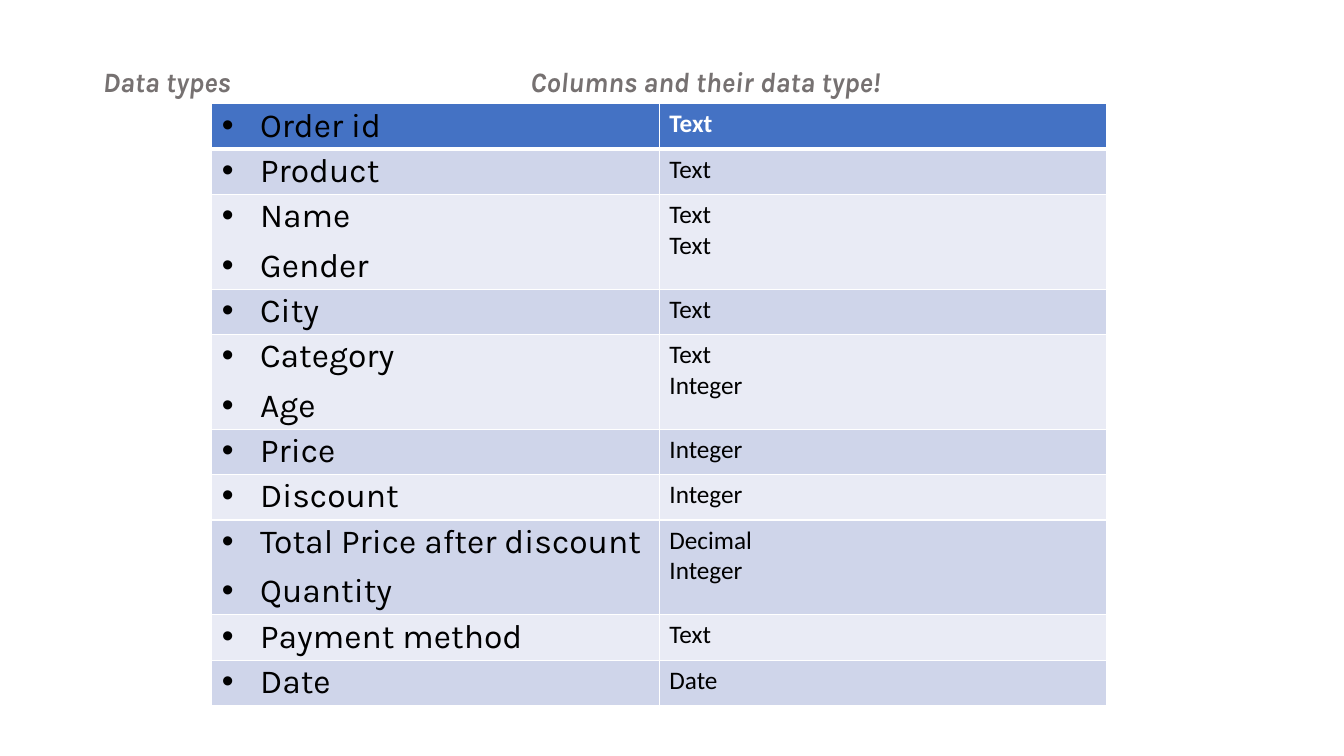
from pptx import Presentation
from pptx.dml.color import RGBColor
from pptx.enum.text import MSO_ANCHOR, MSO_AUTO_SIZE, PP_ALIGN
from pptx.oxml.ns import qn
from pptx.util import Inches, Pt
from lxml.etree import SubElement

# Content: column names and their data types, one tuple per table row
HEADINGS = ("Data types", "Columns and their data type!")
ROWS = [
    (["Order id"], ["Text"]),
    (["Product"], ["Text"]),
    (["Name", "Gender"], ["Text", "Text"]),
    (["City"], ["Text"]),
    (["Category", "Age"], ["Text", "Integer"]),
    (["Price"], ["Integer"]),
    (["Discount"], ["Integer"]),
    (["Total Price after discount", "Quantity"], ["Decimal", "Integer"]),
    (["Payment method"], ["Text"]),
    (["Date"], ["Date"]),
]

# Formats
COLORS = {"heading": "767171", "header": "4472C4", "odd": "CFD5EA",
          "even": "E9EBF5", "white": "FFFFFF", "black": "000000"}
HEADING_FONT = {"name": "Karla", "size": Pt(20), "bold": True, "italic": True}
NAME_FONT = {"name": "Karla", "size": Pt(24), "bold": False}
TYPE_FONT = {"name": "Calibri", "size": Pt(18), "bold": False}
BULLET_SPACING = {"line_spacing": 0.9, "space_before": Pt(10)}
ROW_HEIGHTS = {1: 0.45, 2: 0.94}  # by number of lines
COLUMN_WIDTH = 4.44
INDENT = Inches(0.38)


def set_attributes(target, values):
    for name, value in values.items():
        setattr(target, name, value)


def set_font(font, values, color):
    set_attributes(font, values)
    font.color.rgb = RGBColor.from_string(COLORS[color])


def add_bullet(paragraph):
    set_attributes(paragraph, BULLET_SPACING)
    properties = paragraph._p.get_or_add_pPr()
    properties.set("marL", str(INDENT))
    properties.set("indent", str(-INDENT))
    SubElement(properties, qn("a:buFont"), typeface="Arial")
    SubElement(properties, qn("a:buChar"), char="•")


def add_borders(cell, bottom, top):
    properties = cell._tc.get_or_add_tcPr()
    for side, width in (("L", 1), ("R", 1), ("T", top), ("B", bottom)):
        line = SubElement(properties, qn(f"a:ln{side}"), w=str(Pt(width)))
        fill = SubElement(line, qn("a:solidFill"))
        SubElement(fill, qn("a:srgbClr"), val=COLORS["white"])


def fill_cell(cell, lines, font, color, bulleted):
    frame = cell.text_frame
    for index, line in enumerate(lines):
        paragraph = frame.add_paragraph() if index else frame.paragraphs[0]
        run = paragraph.add_run()
        run.text = line
        set_font(run.font, font, color)
        if bulleted:
            add_bullet(paragraph)


presentation = Presentation()
presentation.slide_width = Inches(13.33)
presentation.slide_height = Inches(7.5)
slide = presentation.slides.add_slide(presentation.slide_layouts[5])

# Title line: two headings set apart by a tab stop
title = slide.shapes.title
set_attributes(title, {"left": Inches(0.21), "top": Inches(0.5),
                       "width": Inches(10), "height": Inches(0.53)})
set_attributes(title.text_frame, {
    "auto_size": MSO_AUTO_SIZE.NONE, "word_wrap": True,
    "vertical_anchor": MSO_ANCHOR.BOTTOM, "margin_left": Inches(0.81)})
paragraph = title.text_frame.paragraphs[0]
set_attributes(paragraph, {"alignment": PP_ALIGN.LEFT, "line_spacing": 0.9})
tabs = SubElement(paragraph._p.get_or_add_pPr(), qn("a:tabLst"))
SubElement(tabs, qn("a:tab"), pos=str(Inches(4.24)), algn="l")
run = paragraph.add_run()
run.text = "\t".join(HEADINGS)
set_font(run.font, HEADING_FONT, "heading")

# Table
heights = [ROW_HEIGHTS[len(names)] for names, _ in ROWS]
table = slide.shapes.add_table(
    len(ROWS), 2, Inches(2.1), Inches(1.03),
    Inches(2 * COLUMN_WIDTH), Inches(sum(heights))).table
for column in table.columns:
    column.width = Inches(COLUMN_WIDTH)

for index, (names, types) in enumerate(ROWS):
    is_header = index == 0
    table.rows[index].height = Inches(heights[index])
    band = "header" if is_header else ("odd" if index % 2 else "even")
    name_cell, type_cell = table.rows[index].cells
    fill_cell(name_cell, names, NAME_FONT, "black", True)
    fill_cell(type_cell, types, {**TYPE_FONT, "bold": is_header},
              "white" if is_header else "black", False)
    for cell in (name_cell, type_cell):
        add_borders(cell, bottom=3 if is_header else 1, top=3 if index == 1 else 1)
        cell.fill.solid()
        cell.fill.fore_color.rgb = RGBColor.from_string(COLORS[band])

presentation.save("out.pptx")
